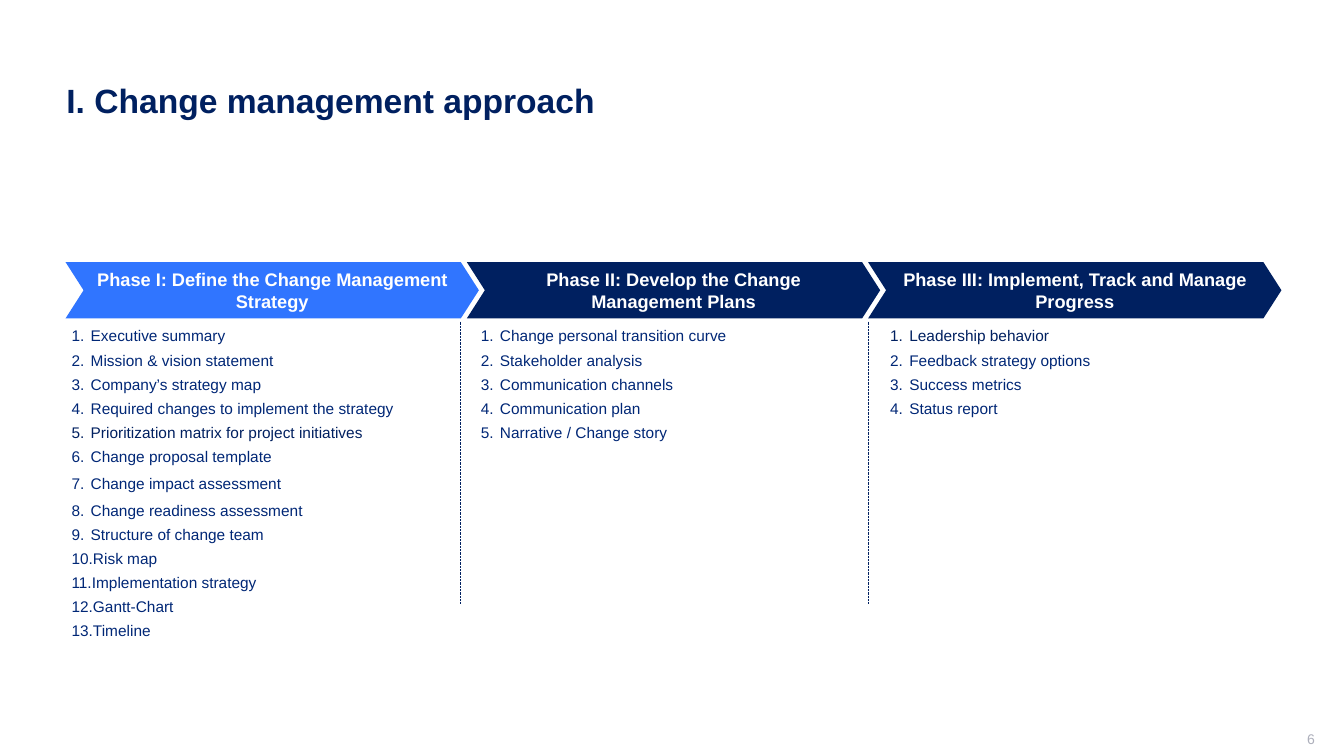
from lxml.etree import SubElement as Sub
from pptx import Presentation
from pptx.dml.color import RGBColor
from pptx.enum.dml import MSO_LINE as Dash
from pptx.enum.shapes import MSO_CONNECTOR as Conn, MSO_SHAPE as Kind
from pptx.enum.text import MSO_ANCHOR as Anchor, MSO_AUTO_SIZE as Fit, PP_ALIGN as Align
from pptx.oxml.ns import qn
from pptx.util import Inches, Pt

NAVY = RGBColor(0x00, 0x20, 0x60)
INK = RGBColor(0x00, 0x27, 0x76)
BLUE = RGBColor(0x30, 0x75, 0xFF)
GREY = RGBColor(0xAD, 0xAF, 0xBB)
WHITE = RGBColor(0xFF, 0xFF, 0xFF)


class Board:
    face = "Arial"
    indent = Inches(0.19)

    def __init__(self, slide):
        self.shapes = slide.shapes

    def frame(self, shape, insets, anchor):
        frame = shape.text_frame
        frame.word_wrap = True
        frame.vertical_anchor = anchor
        (frame.margin_left, frame.margin_top,
         frame.margin_right, frame.margin_bottom) = map(Inches, insets)
        return frame

    def letter(self, para, text, size, color, bold=False, align=Align.LEFT):
        para.text = text
        para.alignment = align
        font = para.font
        font.name, font.size, font.bold = self.face, Pt(size), bold
        font.color.rgb = color

    def label(self, box, text, size, color, insets=(0.1, 0.05, 0.1, 0.05), **style):
        shape = self.shapes.add_textbox(*map(Inches, box))
        frame = self.frame(shape, insets, Anchor.MIDDLE)
        self.letter(frame.paragraphs[0], text, size, color, **style)

    def chevron(self, box, text, fill):
        shape = self.shapes.add_shape(Kind.CHEVRON, *map(Inches, box))
        shape.adjustments[0] = 0.32
        shape.shadow.inherit = False
        shape.fill.solid()
        shape.fill.fore_color.rgb = fill
        shape.line.fill.background()
        frame = self.frame(shape, (0.08, 0.05, 0.08, 0.05), Anchor.MIDDLE)
        self.letter(frame.paragraphs[0], text, 13, WHITE, True, Align.CENTER)

    def steps(self, box, items, inset, dark, loose):
        shape = self.shapes.add_textbox(*map(Inches, box))
        frame = self.frame(shape, (inset, 0.05, 0.1, 0.05), Anchor.TOP)
        frame.auto_size = Fit.SHAPE_TO_FIT_TEXT
        for i, item in enumerate(items):
            para = frame.add_paragraph() if i else frame.paragraphs[0]
            props = para._p.get_or_add_pPr()
            props.set("marL", str(self.indent))
            props.set("indent", str(-self.indent))
            Sub(props, qn("a:buFont"), typeface=self.face)
            Sub(props, qn("a:buAutoNum"), type="arabicPeriod")
            gap = Pt(4 if item == loose else 2)
            if i:
                para.space_before = gap
            para.space_after = gap
            self.letter(para, item, 11, NAVY if item == dark else INK)

    def rule(self, x, top, end):
        line = self.shapes.add_connector(
            Conn.STRAIGHT, Inches(x), Inches(top), Inches(x), Inches(end))
        line.line.color.rgb = NAVY
        line.line.width = Pt(0.5)
        line.line.dash_style = Dash.ROUND_DOT
        Sub(line._element.spPr, qn("a:effectLst"))


# Heading, fill, list left, width, height, inset, darker item, looser item, items
PHASES = [
    ("Phase I: Define the Change Management Strategy", BLUE,
     0.71, 3.8, 3.24, 0,
     "Prioritization matrix for project initiatives", "Change impact assessment",
     ["Executive summary", "Mission & vision statement", "Company’s strategy map",
      "Required changes to implement the strategy",
      "Prioritization matrix for project initiatives", "Change proposal template",
      "Change impact assessment", "Change readiness assessment",
      "Structure of change team", "Risk map", "Implementation strategy",
      "Gantt-Chart", "Timeline"]),
    ("Phase II: Develop the Change Management Plans", NAVY,
     4.67, 3.78, 1.97, 0.1, None, None,
     ["Change personal transition curve", "Stakeholder analysis",
      "Communication channels", "Communication plan", "Narrative / Change story"]),
    ("Phase III: Implement, Track and Manage Progress", NAVY,
     8.73, 3.98, 1.01, 0.1, "Leadership behavior", None,
     ["Leadership behavior", "Feedback strategy options", "Success metrics",
      "Status report"]),
]


def main():
    deck = Presentation()
    deck.slide_width, deck.slide_height = Inches(13.33), Inches(7.5)
    board = Board(deck.slides.add_slide(deck.slide_layouts[6]))

    # Title and page number
    board.label((0.56, 0.4, 12.11, 1.19), "I. Change management approach",
                24, NAVY, bold=True)
    board.label((10.04, 7.25, 3, 0.21), "6", 10, GREY,
                insets=(0.1, 0, 0, 0.05), align=Align.RIGHT)

    # Phases with their steps
    for i, (head, fill, left, width, height, inset, dark, loose, items) in enumerate(PHASES):
        board.chevron((0.65 + 3.98 * i, 2.6, 4.1, 0.56), head, fill)
        board.steps((left, 3.19, width, height), items, inset, dark, loose)

    # Dividers
    for x in (4.57, 8.61):
        board.rule(x, 3.19, 5.99)

    deck.save("out.pptx")


if __name__ == "__main__":
    main()
